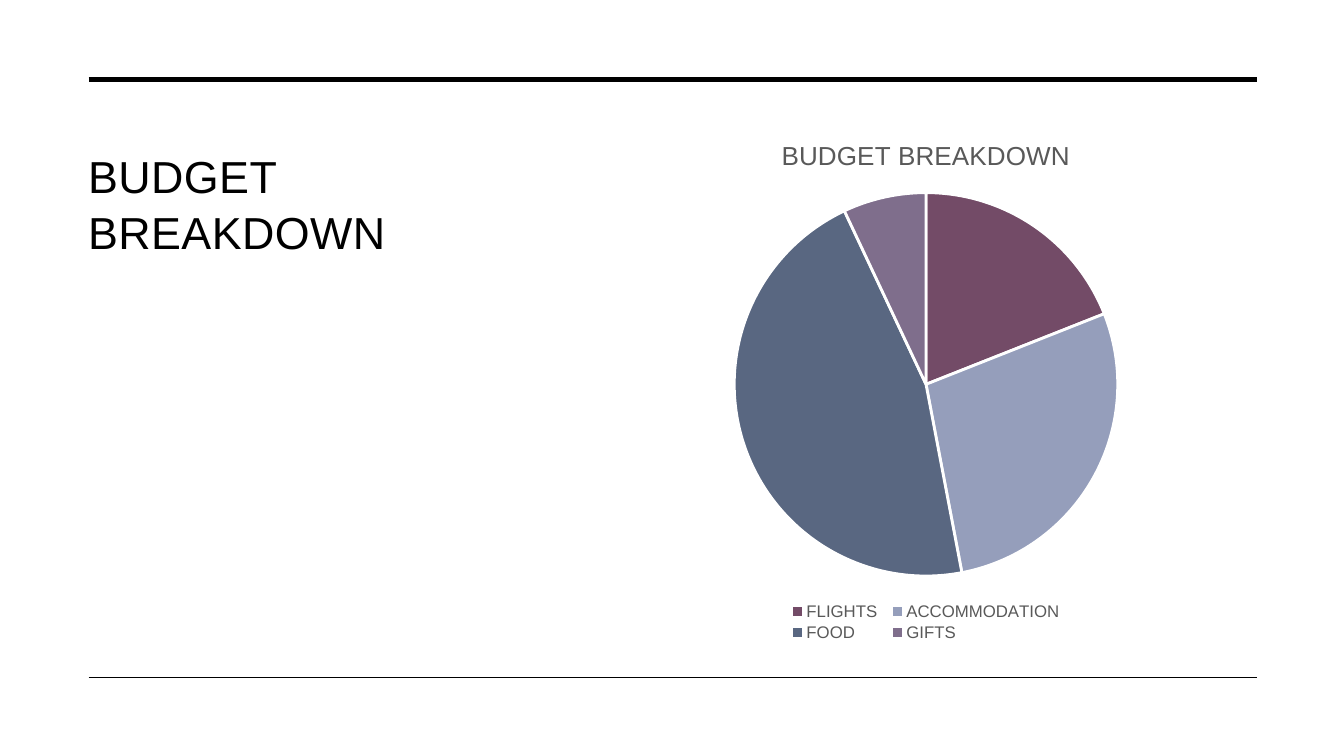
from dataclasses import dataclass

from lxml.etree import SubElement
from pptx import Presentation
from pptx.chart.data import CategoryChartData
from pptx.dml.color import RGBColor
from pptx.enum.chart import XL_CHART_TYPE, XL_LEGEND_POSITION
from pptx.enum.shapes import MSO_CONNECTOR
from pptx.enum.text import MSO_ANCHOR, MSO_AUTO_SIZE, PP_ALIGN
from pptx.oxml import parse_xml
from pptx.oxml.ns import nsdecls, qn
from pptx.util import Inches, Pt

WIDE, HIGH = Inches(13.33), Inches(7.5)
FACE = "Arial"
INK, GREY, WHITE = "000000", "595959", "FFFFFF"
TITLE = "BUDGET BREAKDOWN"


@dataclass
class Rule:
    top: float
    weight: float


@dataclass
class Slice:
    name: str
    value: int
    color: str


@dataclass
class Box:
    """Left, top, width and height as shares of the surrounding area."""
    left: float
    top: float
    width: float
    height: float

    def place(self) -> tuple[int, int, int, int]:
        return (round(self.left * WIDE), round(self.top * HIGH),
                round(self.width * WIDE), round(self.height * HIGH))


RULES = [Rule(0.105, 3.5), Rule(0.896, 1)]
EDGES = (0.066, 0.935)
HEAD = Box(0.058, 0.156, 0.337, 0.192)
CHART = Box(0.436, 0.156, 0.506, 0.7)
PIE = Box(0.218, 0.14, 0.564, 0.727)
KEY = Box(0.29, 0.91, 0.42, 0.086)
SLICES = [
    Slice("FLIGHTS", 19, "734B67"),
    Slice("ACCOMMODATION", 28, "959EBB"),
    Slice("FOOD", 46, "596781"),
    Slice("GIFTS", 7, "7F6E8C"),
]


def tint(code: str) -> RGBColor:
    return RGBColor.from_string(code)


def style(font, size: float, color: str) -> None:
    font.name = FACE
    font.size = Pt(size)
    font.bold = False
    font.color.rgb = tint(color)


def write(frame, text: str, *, size: float, color: str, space: int = 0,
          align=None, line: float | None = None) -> None:
    """Fill a text frame; space is tracking in hundredths of a point."""
    para = frame.paragraphs[0]
    para.alignment = align
    para.line_spacing = line
    run = para.add_run()
    run.text = text
    style(run.font, size, color)
    if space:
        run.font._element.set("spc", str(space))


def layout(box: Box, inner: bool = False):
    """Build a manual chart layout from shares of the chart area."""
    target = '<c:layoutTarget val="inner"/>' if inner else ""
    return parse_xml(
        f'<c:layout {nsdecls("c")}><c:manualLayout>{target}'
        '<c:xMode val="edge"/><c:yMode val="edge"/>'
        f'<c:x val="{box.left}"/><c:y val="{box.top}"/>'
        f'<c:w val="{box.width}"/><c:h val="{box.height}"/>'
        '</c:manualLayout></c:layout>')


def add_rule(slide, rule: Rule) -> None:
    left, right = (round(edge * WIDE) for edge in EDGES)
    top = round(rule.top * HIGH)
    line = slide.shapes.add_connector(
        MSO_CONNECTOR.STRAIGHT, left, top, right, top)
    line.line.color.rgb = tint(INK)
    line.line.width = Pt(rule.weight)
    SubElement(line._element.spPr, qn("a:effectLst"))


def add_title(slide) -> None:
    title = slide.shapes.title
    title.left, title.top, title.width, title.height = HEAD.place()
    frame = title.text_frame
    frame.word_wrap = True
    frame.auto_size = MSO_AUTO_SIZE.NONE
    frame.vertical_anchor = MSO_ANCHOR.BOTTOM
    write(frame, TITLE, size=32, color=INK, space=30,
          align=PP_ALIGN.LEFT, line=1.03)


def add_pie(slide) -> None:
    data = CategoryChartData()
    data.categories = [part.name for part in SLICES]
    data.add_series(TITLE, [part.value for part in SLICES])
    chart = slide.shapes.add_chart(
        XL_CHART_TYPE.PIE, *CHART.place(), data).chart
    style(chart.font, 10, INK)

    chart.has_title = True
    write(chart.chart_title.text_frame, TITLE, size=18.6, color=GREY)
    chart.chart_title.include_in_layout = False

    chart.has_legend = True
    key = chart.legend
    key.position = XL_LEGEND_POSITION.BOTTOM
    key.include_in_layout = False
    style(key.font, 12, GREY)
    for old in key._element.findall(qn("c:layout")):
        key._element.remove(old)
    key._element.find(qn("c:legendPos")).addnext(layout(KEY))

    area = chart._chartSpace.chart.plotArea
    for old in area.findall(qn("c:layout")):
        area.remove(old)
    area.insert(0, layout(PIE, inner=True))

    plot = chart.plots[0]
    plot.vary_by_categories = True
    for spot, part in enumerate(SLICES):
        look = plot.series[0].points[spot].format
        look.fill.solid()
        look.fill.fore_color.rgb = tint(part.color)
        look.line.color.rgb = tint(WHITE)
        look.line.width = Pt(2)


def main() -> None:
    deck = Presentation()
    deck.slide_width, deck.slide_height = WIDE, HIGH
    slide = deck.slides.add_slide(deck.slide_layouts[5])
    slide.background.fill.solid()
    slide.background.fill.fore_color.rgb = tint(WHITE)
    for rule in RULES:
        add_rule(slide, rule)
    add_title(slide)
    add_pie(slide)
    deck.save("out.pptx")


if __name__ == "__main__":
    main()
